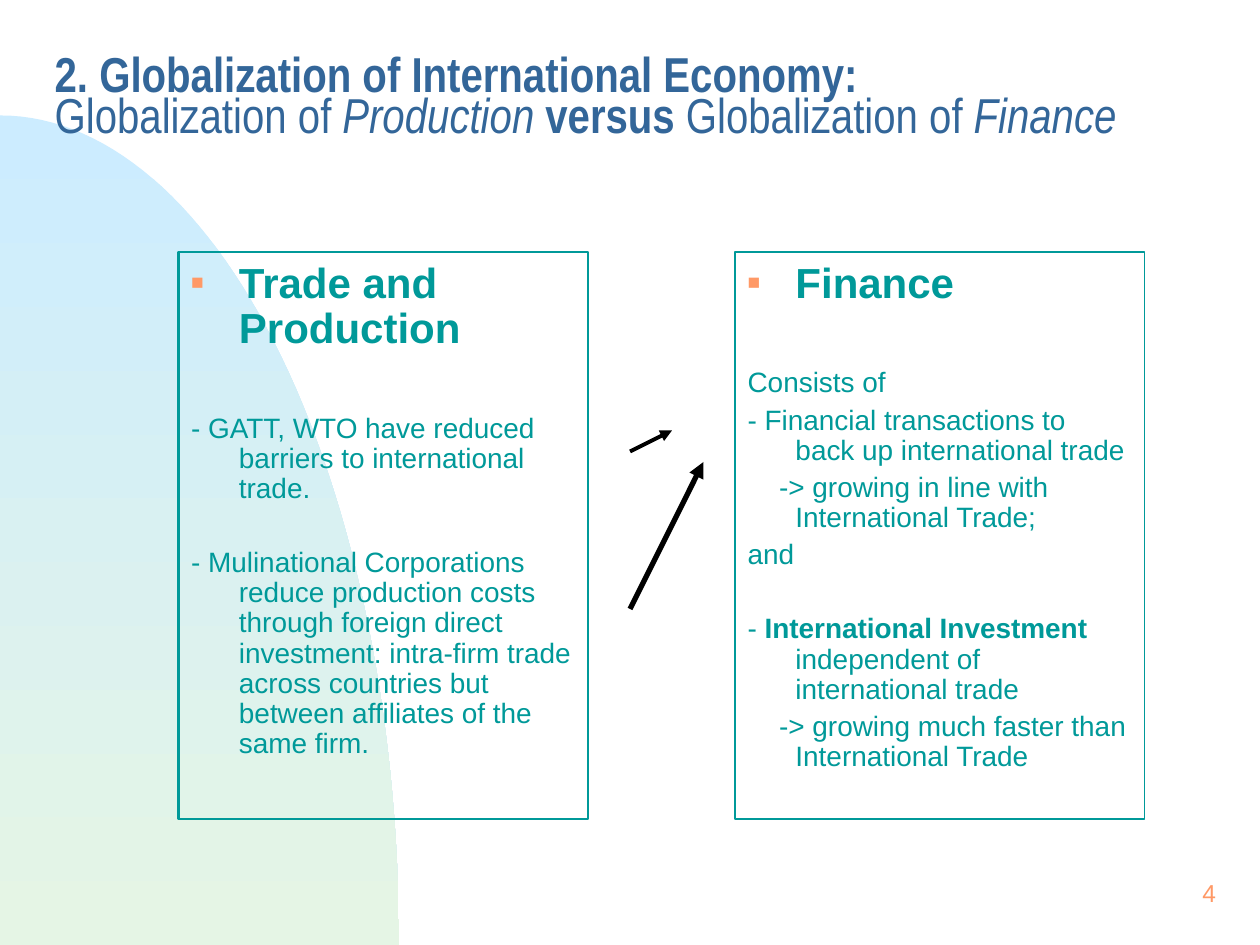
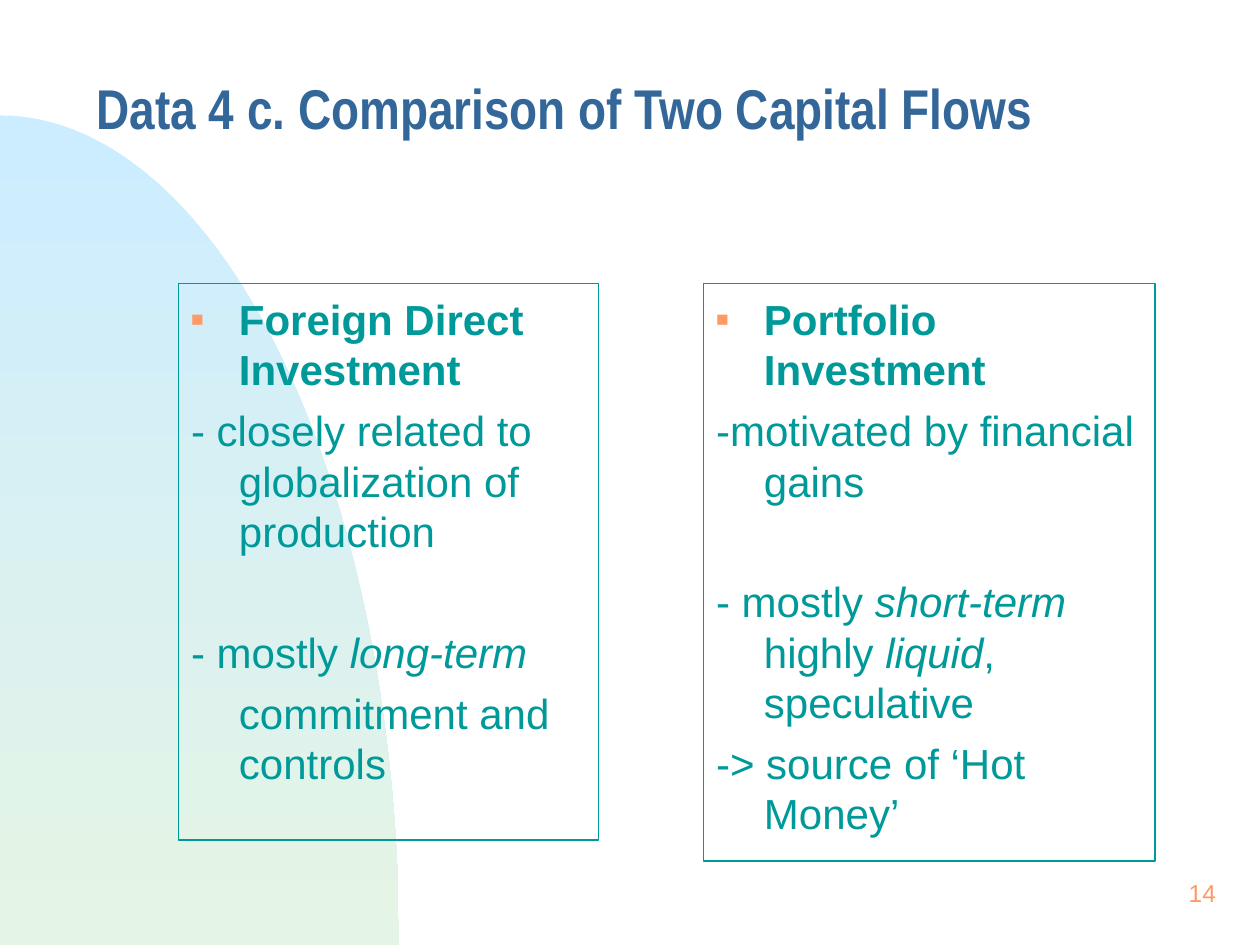
from math import cos, pi, sin

from lxml import etree
from pptx import Presentation
from pptx.dml.color import RGBColor
from pptx.enum.shapes import MSO_CONNECTOR
from pptx.enum.text import MSO_ANCHOR, MSO_AUTO_SIZE, PP_ALIGN
from pptx.oxml.ns import qn
from pptx.util import Inches, Pt

LEFT, RIGHT = PP_ALIGN.LEFT, PP_ALIGN.RIGHT
MIDDLE, TOP = MSO_ANCHOR.MIDDLE, MSO_ANCHOR.TOP
NO_AUTOFIT = MSO_AUTO_SIZE.NONE
STRAIGHT = MSO_CONNECTOR.STRAIGHT

COLORS = {"title": "336699", "body": "009999", "accent": "FF9966",
          "arrow": "000000", "arc top": "CCECFF", "arc bottom": "E5F5E5"}
BODY_FONT, TITLE_FONT = "Arial", "Arial Narrow"
HANG = 0.38  # inches of hanging indent in the boxes

# Places are in cells of a twelfth of an inch: the slide is 120 by 90 cells.
CELL = Inches(1) / 12
COLUMNS, ROWS = 120, 90
NUMBER_PLACE = (92, 82, 25, 6)
ARC_TOP, ARC_WIDTH, ARC_STEPS = 11, 38, 60

# Spans are (text, style) with style "b", "i" or "".
# Box paragraphs are (spans, first-line shift in inches, gap before in points).
SLIDES = [
    {
        "number": "4",
        "title": [[("2. Globalization of International Economy:", "b")],
                  [("Globalization of ", ""), ("Production", "i"), (" versus ", "b"),
                   ("Globalization of ", ""), ("Finance", "i")]],
        "title place": (4, 3, 116, 17), "title size": 28, "title bottom": 0.37,
        "text size": 16, "line spacing": 0.9,
        "boxes": [
            {"place": (17, 24, 39, 54), "border": 1.5, "heading": "Trade and Production",
             "text": [
                 ([("- GATT, WTO have reduced barriers to international trade.", "")], 0, 35),
                 ([("- Mulinational Corporations reduce production costs through "
                    "foreign direct investment: intra-firm trade across countries "
                    "but between affiliates of the same firm.", "")], 0, 25)]},
            {"place": (70, 24, 39, 54), "border": 1, "heading": "Finance",
             "text": [
                 ([("Consists of", "")], 0, 35),
                 ([("- Financial transactions to back up international trade", "")], 0, 4),
                 ([("-> growing in line with International Trade;", "")], 0.25, 4),
                 ([("and", "")], 0, 4),
                 ([("- ", ""), ("International Investment", "b"),
                   (" independent of international trade", "")], 0, 25),
                 ([("-> growing much faster than International Trade", "")], 0.25, 4)]},
        ],
        "arrows": [((60, 43), (64, 41), 2.25), ((60, 58), (67, 44), 3)],
    },
    {
        "number": "14",
        "title": [[("Data 4 c. Comparison of Two Capital Flows", "b")]],
        "title place": (8, 3, 109, 16), "title size": 32, "title bottom": 0.05,
        "text size": 24, "line spacing": 1,
        "boxes": [
            {"place": (17, 27, 40, 53), "border": 1, "heading": "Foreign Direct Investment",
             "text": [
                 ([("- closely related to globalization of production", "")], 0, 6),
                 ([("- mostly ", ""), ("long-term", "i")], 0, 40),
                 ([("commitment and controls", "")], HANG, 6)]},
            {"place": (67, 27, 43, 55), "border": 1, "heading": "Portfolio Investment",
             "text": [
                 ([("-motivated by financial gains", "")], 0, 6),
                 ([("- mostly ", ""), ("short-term", "i"), (" highly ", ""),
                   ("liquid", "i"), (", speculative", "")], 0, 40),
                 ([("-> source of ‘Hot Money’", "")], 0, 6)]},
        ],
        "arrows": [],
    },
]


def cells(*counts):
    return [round(count * CELL) for count in counts]


def color(name):
    return RGBColor.from_string(COLORS[name])


def place(shape, area):
    shape.left, shape.top, shape.width, shape.height = cells(*area)


def set_font(paragraph, name, size, color_name):
    font = paragraph.font
    font.name, font.size = name, Pt(size)
    font.color.rgb = color(color_name)


def add_spans(paragraph, spans):
    for text, style in spans:
        span = paragraph.add_run()
        span.text = text
        span.font.bold = style == "b"
        span.font.italic = style == "i"


def set_frame(shape, anchor, top=0.05, bottom=0.05):
    frame = shape.text_frame
    frame.word_wrap, frame.auto_size = True, NO_AUTOFIT
    frame.vertical_anchor = anchor
    frame.margin_left = frame.margin_right = Inches(0.1)
    frame.margin_top, frame.margin_bottom = Inches(top), Inches(bottom)
    return frame


def add_element(parent, tag, **attributes):
    return etree.SubElement(parent, qn(tag), attributes)


def set_bullet(paragraph, first_line, bulleted):
    properties = paragraph._p.get_or_add_pPr()
    properties.set("marL", str(Inches(HANG)))
    properties.set("indent", str(Inches(first_line - HANG)))
    if bulleted:
        tint = add_element(properties, "a:buClr")
        add_element(tint, "a:srgbClr", val=COLORS["accent"])
        add_element(properties, "a:buSzPct", val="50000")
        add_element(properties, "a:buFont", typeface=BODY_FONT)
        add_element(properties, "a:buChar", char="■")
    else:
        add_element(properties, "a:buNone")


def add_arc_to_master(deck, page):
    """Draw the quarter ellipse on a page, then hand it to the shared master."""
    angles = [step / ARC_STEPS * pi / 2 for step in range(ARC_STEPS + 1)]
    curve = [(ARC_WIDTH * sin(angle), ROWS - (ROWS - ARC_TOP) * cos(angle))
             for angle in angles]
    builder = page.shapes.build_freeform(0, round(ROWS * CELL))
    builder.add_line_segments([cells(*point) for point in curve])
    arc = builder.convert_to_shape()
    arc.shadow.inherit = False
    arc.line.fill.background()
    arc.fill.gradient()
    arc.fill.gradient_angle = 270
    for stop, name in zip(arc.fill.gradient_stops, ("arc top", "arc bottom")):
        stop.color.rgb = color(name)
    deck.slide_master.shapes._spTree.insert(2, arc._element)


def fill_title(title, content):
    place(title, content["title place"])
    frame = set_frame(title, MIDDLE, bottom=content["title bottom"])
    paragraph = frame.paragraphs[0]
    paragraph.alignment, paragraph.line_spacing = LEFT, 0.7
    set_font(paragraph, TITLE_FONT, content["title size"], "title")
    for index, line in enumerate(content["title"]):
        if index:
            paragraph.add_line_break()
        add_spans(paragraph, line)


def fill_box(box, content, column):
    place(box, column["place"])
    box.line.color.rgb = color("body")
    box.line.width = Pt(column["border"])
    frame = set_frame(box, TOP, top=0.08)
    heading = ([(column["heading"], "b")], 0, 0)
    for index, (spans, first_line, gap) in enumerate([heading] + column["text"]):
        paragraph = frame.add_paragraph() if index else frame.paragraphs[0]
        set_bullet(paragraph, first_line, bulleted=index == 0)
        paragraph.alignment = LEFT
        paragraph.line_spacing = content["line spacing"]
        paragraph.space_before = Pt(gap)
        set_font(paragraph, BODY_FONT, content["text size"] if index else 24, "body")
        add_spans(paragraph, spans)


def add_arrow(page, start, end, width):
    arrow = page.shapes.add_connector(STRAIGHT, *cells(*start, *end))
    arrow.line.color.rgb = color("arrow")
    arrow.line.width = Pt(width)
    add_element(arrow.line._get_or_add_ln(), "a:tailEnd", type="triangle")
    add_element(arrow._element.spPr, "a:effectLst")


def add_number(page, number):
    box = page.shapes.add_textbox(*cells(*NUMBER_PLACE))
    paragraph = set_frame(box, MIDDLE).paragraphs[0]
    paragraph.alignment = RIGHT
    set_font(paragraph, BODY_FONT, 14, "accent")
    paragraph.add_run().text = number


def main():
    deck = Presentation()
    deck.slide_width, deck.slide_height = cells(COLUMNS, ROWS)
    two_content = deck.slide_layouts.get_by_name("Two Content")
    for index, content in enumerate(SLIDES):
        page = deck.slides.add_slide(two_content)
        if index == 0:
            add_arc_to_master(deck, page)
        title, *boxes = page.placeholders
        fill_title(title, content)
        for box, column in zip(boxes, content["boxes"]):
            fill_box(box, content, column)
        for arrow in content["arrows"]:
            add_arrow(page, *arrow)
        add_number(page, content["number"])
    deck.save("out.pptx")


if __name__ == "__main__":
    main()
